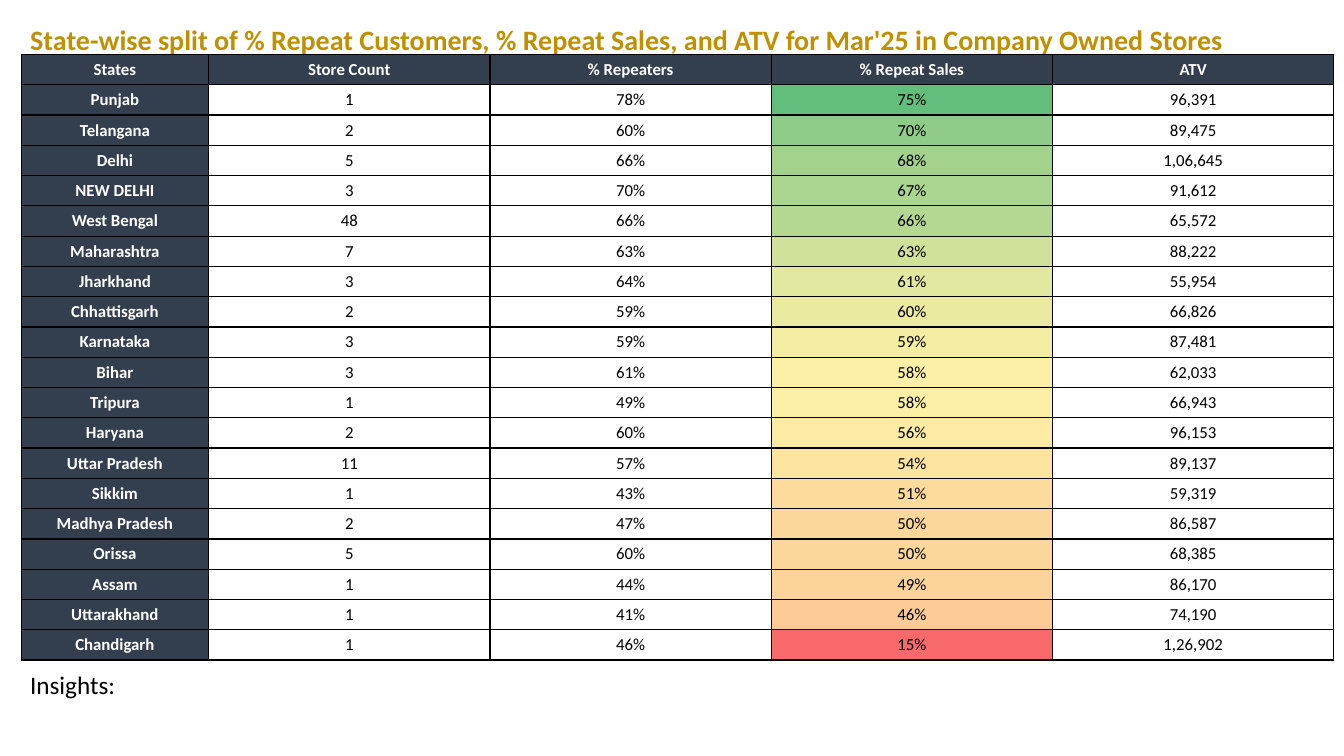
from pptx import Presentation
from pptx import util as u
from pptx.dml.color import RGBColor
from pptx.enum import text
from pptx.oxml import parse_xml
from pptx.oxml.ns import nsdecls

PX = 9144
FONT = "Calibri"
COLOURS = {"gold": "BF9000", "navy": "333F4F", "white": "FFFFFF", "black": "000000"}
HEAT = {
    "75%": "63BE7B", "70%": "8FCC87", "68%": "A2D28C", "67%": "ABD68F",
    "66%": "B4D892", "63%": "D0E29A", "61%": "E2E89F", "60%": "EBEAA1",
    "59%": "F4EEA4", "58%": "FDF0A6", "56%": "FDEBA4", "54%": "FDE4A1",
    "51%": "FDDB9D", "50%": "FCD79B", "49%": "FCD49A", "46%": "FCCB96",
    "15%": "F8696B",
}
HEADINGS = ("States", "Store Count", "% Repeaters", "% Repeat Sales", "ATV")
STATES = [
    ("Punjab", "1", "78%", "75%", "96,391"),
    ("Telangana", "2", "60%", "70%", "89,475"),
    ("Delhi", "5", "66%", "68%", "1,06,645"),
    ("NEW DELHI", "3", "70%", "67%", "91,612"),
    ("West Bengal", "48", "66%", "66%", "65,572"),
    ("Maharashtra", "7", "63%", "63%", "88,222"),
    ("Jharkhand", "3", "64%", "61%", "55,954"),
    ("Chhattisgarh", "2", "59%", "60%", "66,826"),
    ("Karnataka", "3", "59%", "59%", "87,481"),
    ("Bihar", "3", "61%", "58%", "62,033"),
    ("Tripura", "1", "49%", "58%", "66,943"),
    ("Haryana", "2", "60%", "56%", "96,153"),
    ("Uttar Pradesh", "11", "57%", "54%", "89,137"),
    ("Sikkim", "1", "43%", "51%", "59,319"),
    ("Madhya Pradesh", "2", "47%", "50%", "86,587"),
    ("Orissa", "5", "60%", "50%", "68,385"),
    ("Assam", "1", "44%", "49%", "86,170"),
    ("Uttarakhand", "1", "41%", "46%", "74,190"),
    ("Chandigarh", "1", "46%", "15%", "1,26,902"),
]


def px(*lengths):
    return [u.Emu(length * PX) for length in lengths]


def write(frame, words, size, colour, bold=False, align=text.PP_ALIGN.LEFT):
    frame.text = words
    paragraph = frame.paragraphs[0]
    paragraph.alignment = align
    font = paragraph.runs[0].font
    font.name, font.size, font.bold = FONT, u.Pt(size), bold
    font.color.rgb = RGBColor.from_string(colour)


def fit_line(frame):
    frame.word_wrap = True
    frame.auto_size = text.MSO_AUTO_SIZE.SHAPE_TO_FIT_TEXT
    frame.vertical_anchor = text.MSO_ANCHOR.TOP


def add_heading(slide, box):
    heading = slide.shapes.title
    heading.left, heading.top, heading.width, heading.height = px(*box)
    fit_line(heading.text_frame)
    write(heading.text_frame,
          "State-wise split of % Repeat Customers, % Repeat Sales, and ATV "
          "for Mar'25 in Company Owned Stores", 20, COLOURS["gold"], True)


def add_insights(slide, box):
    insights = slide.shapes.add_textbox(*px(*box))
    fit_line(insights.text_frame)
    write(insights.text_frame, "Insights:", 18, COLOURS["black"])


def outline(cell):
    properties = cell._tc.get_or_add_tcPr()
    for index, side in enumerate(("lnL", "lnR", "lnT", "lnB")):
        properties.insert(index, parse_xml(
            f'<a:{side} {nsdecls("a")} w="{u.Pt(1)}"><a:solidFill>'
            f'<a:srgbClr val="{COLOURS["black"]}"/></a:solidFill></a:{side}>'))


def add_states(slide, box, state_width):
    rows = [HEADINGS, *STATES]
    states = slide.shapes.add_table(len(rows), len(HEADINGS), *px(*box)).table
    states.horz_banding = False
    measure_width = (box[2] - state_width) // (len(HEADINGS) - 1)
    for index, column in enumerate(states.columns):
        column.width = px(measure_width if index else state_width)[0]
    for r, row in enumerate(rows):
        states.rows[r].height = px(box[3] // len(rows))[0]
        for c, words in enumerate(row):
            cell = states.cell(r, c)
            label = r == 0 or c == 0
            fill = COLOURS["navy" if label else "white"]
            if not label and HEADINGS[c] == "% Repeat Sales":
                fill = HEAT[words]
            cell.fill.solid()
            cell.fill.fore_color.rgb = RGBColor.from_string(fill)
            cell.vertical_anchor = text.MSO_ANCHOR.MIDDLE
            write(cell.text_frame, words, 12, COLOURS["white" if label else "black"],
                  label, text.PP_ALIGN.CENTER)
            outline(cell)


def main():
    deck = Presentation()
    deck.slide_width, deck.slide_height = px(1333, 750)
    slide = deck.slides.add_slide(deck.slide_layouts[5])
    add_heading(slide, (20, 17, 1248, 44))
    add_insights(slide, (20, 659, 1283, 40))
    add_states(slide, (21, 54, 1302, 460), 186)
    deck.save("out.pptx")


if __name__ == "__main__":
    main()
